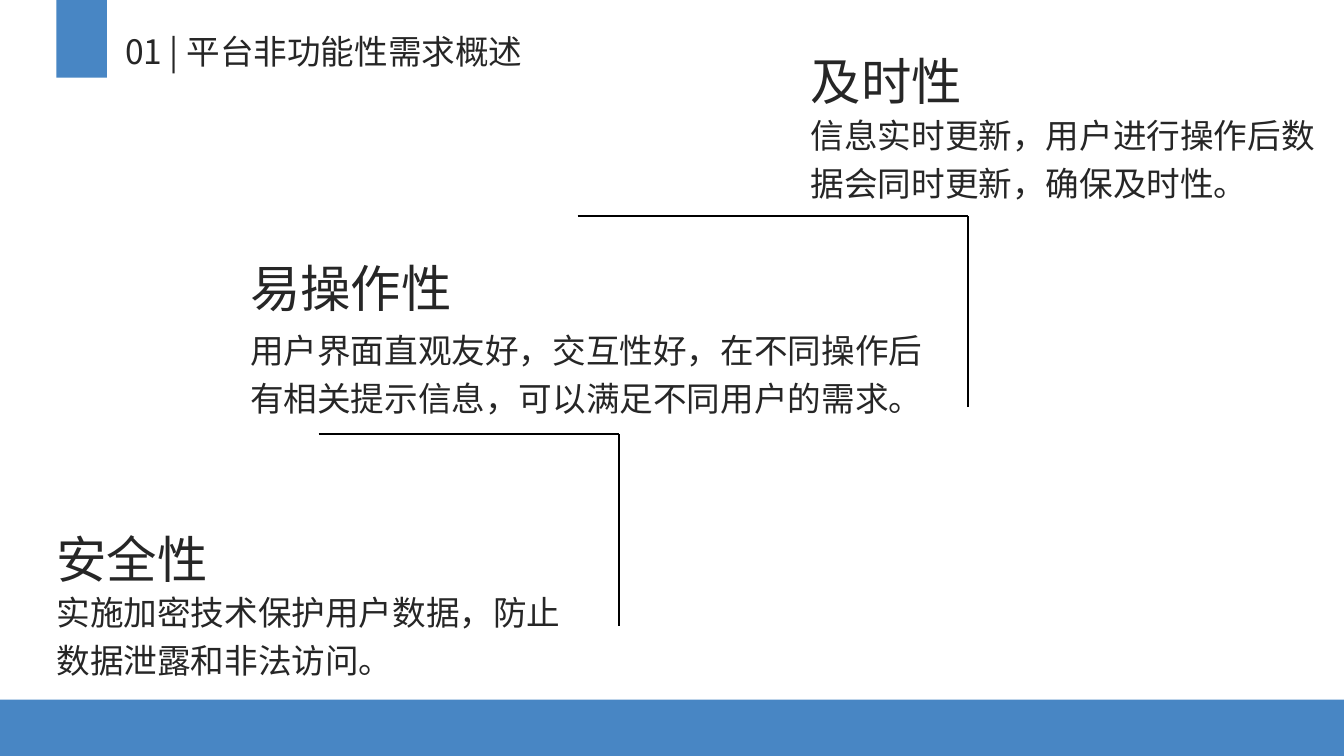
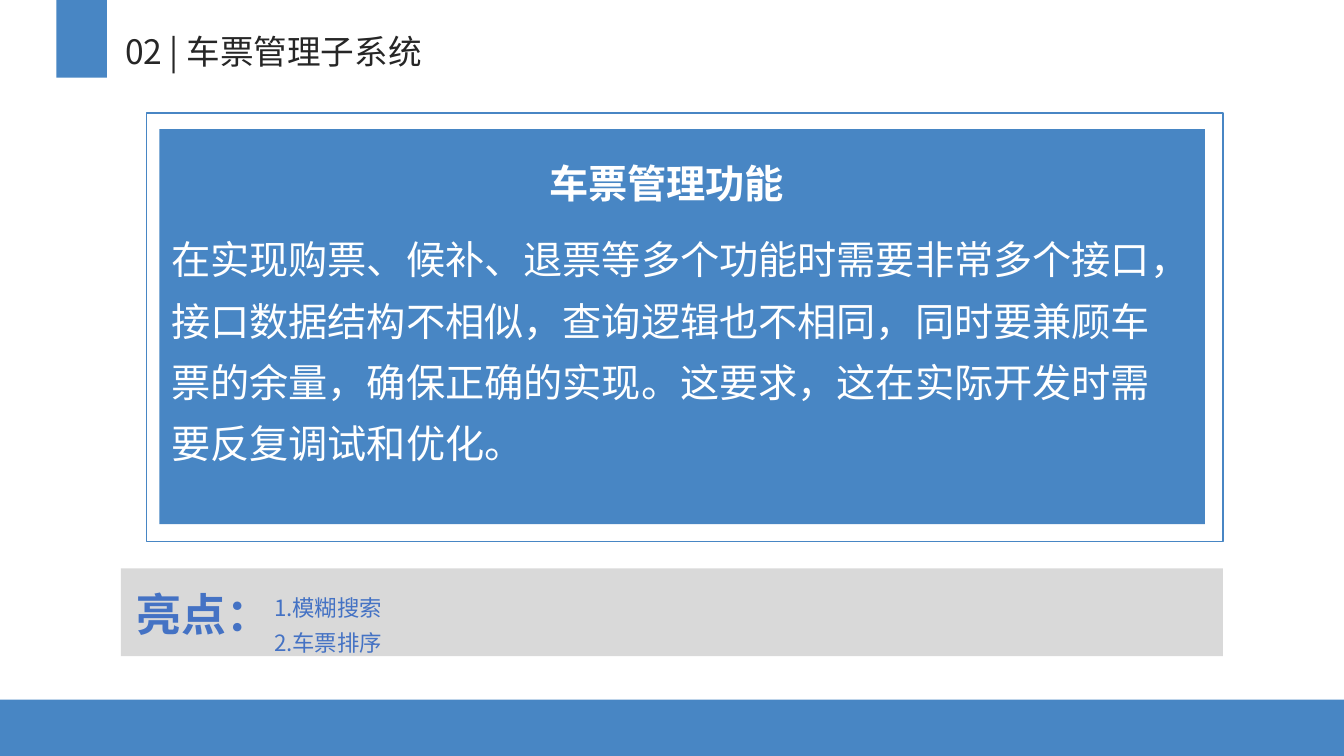
import lxml.etree
import pptx
import pptx.dml.color
import pptx.enum.shapes
import pptx.enum.text
import pptx.oxml.ns
import pptx.util

Inches = pptx.util.Inches
Rgb = pptx.dml.color.RGBColor.from_string
Align = pptx.enum.text.PP_ALIGN
qn = pptx.oxml.ns.qn


class Theme:
    font = "Noto Sans CJK SC"
    blue, gray, ink = Rgb("4886C4"), Rgb("D9D9D9"), Rgb("262626")
    white, black, accent = Rgb("FFFFFF"), Rgb("000000"), Rgb("4472C4")
    small, body, large, label, head = 16, 24, 28, 32, 36


def write(shape, text, size=Theme.body, color=Theme.ink, bold=False,
          align=Align.LEFT, line=None, before=None, pad=True):
    """Fill a shape with text, one paragraph per line; before is in percent."""
    frame = shape.text_frame
    frame.text = text
    frame.word_wrap = True
    frame.auto_size = pptx.enum.text.MSO_AUTO_SIZE.SHAPE_TO_FIT_TEXT
    frame.vertical_anchor = pptx.enum.text.MSO_ANCHOR.TOP
    if not pad:
        frame.margin_left = frame.margin_right = 0
        frame.margin_top = frame.margin_bottom = 0
    for para in frame.paragraphs:
        para.alignment = align
        para.line_spacing = line
        if before:
            para.space_before = pptx.util.Pt(1)
        for run in para.runs:
            run.font.name = Theme.font
            run.font.size = pptx.util.Pt(size)
            run.font.color.rgb = color
            run.font.bold = bold
    # East Asian font and relative spacing
    for props in shape.element.iter(qn("a:rPr")):
        lxml.etree.SubElement(props, qn("a:ea"), typeface=Theme.font)
    for gap in shape.element.iter(qn("a:spcBef")):
        gap.clear()
        lxml.etree.SubElement(gap, qn("a:spcPct"), val=str(before * 1000))


def block(slide, box, fill=None, edge=None):
    """Add a flat rectangle."""
    kind = pptx.enum.shapes.MSO_SHAPE.RECTANGLE
    shape = slide.shapes.add_shape(kind, *map(Inches, box))
    shape.shadow.inherit = False
    if fill:
        shape.fill.solid()
        shape.fill.fore_color.rgb = fill
    else:
        shape.fill.background()
    if edge:
        shape.line.color.rgb = edge
        shape.line.width = pptx.util.Pt(1)
    else:
        shape.line.fill.background()
    return shape


deck = pptx.Presentation()
deck.slide_width, deck.slide_height = Inches(13.33), Inches(7.5)

# Shared title place
layout = deck.slide_layouts[5]
place = layout.placeholders[0]
place.left, place.top = Inches(1.14), Inches(0.26)
place.width, place.height = Inches(4.45), Inches(0.5)

# Slides with their titles
needs, ticket = [deck.slides.add_slide(layout) for _ in range(2)]
write(needs.shapes.title, "01 | 平台非功能性需求概述")
write(ticket.shapes.title, "02 | 车票管理子系统")

# Shared bands, moved to the layout
for order, box in enumerate([(0, 6.94, 13.33, 0.56), (0.56, 0, 0.5, 0.77)]):
    band = block(needs, box, Theme.blue).element
    band.find(".//" + qn("p:cNvPr")).set("id", str(20 + order))
    layout.shapes.element.insert(2 + order, band)

# Slide 1: three steps, each a heading over its body
steps = [
    ("安全性", "实施加密技术保护用户数据，防止数据泄露和非法访问。",
     0.56, 5.12, 5.79, 5.02),
    ("易操作性", "用户界面直观友好，交互性好，在不同操作后有相关提示信息，"
     "可以满足不同用户的需求。", 2.48, 2.43, 3.19, 6.92),
    ("及时性", "信息实时更新，用户进行操作后数据会同时更新，确保及时性。",
     8.04, 0.38, 1.06, 5.02),
]
for head, body, left, top, below, width in steps:
    rows = [(head, Theme.head, top, 2.42, 0.67),
            (body, Theme.body, below, width, 0.93)]
    for text, size, y, wide, high in rows:
        box = needs.shapes.add_textbox(*map(Inches, (left, y, wide, high)))
        write(box, text, size=size, line=1.2, before=20, pad=False)

# Slide 1: stair lines, a tread and a drop from each corner
drop = 1.9
for start, x, y in [(3.16, 6.14, 4.31), (5.73, 9.6, 2.14)]:
    for ends in [(start, y, x, y), (x, y + drop, x, y)]:
        stair = needs.shapes.add_connector(
            pptx.enum.shapes.MSO_CONNECTOR.STRAIGHT, *map(Inches, ends))
        stair.line.color.rgb = Theme.black
        stair.line.width = pptx.util.Pt(1.5)
        lxml.etree.SubElement(stair.element.spPr, qn("a:effectLst"))

# Slide 2: framed panel and highlight bar
block(ticket, (1.58, 1.28, 10.37, 3.92), Theme.blue)
block(ticket, (1.45, 1.12, 10.68, 4.25), edge=Theme.blue)
block(ticket, (1.2, 5.64, 10.93, 0.87), Theme.gray)

# Slide 2: texts
notes = [
    ("车票管理功能", (1.72, 1.53, 9.78, 0.57),
     dict(size=Theme.large, color=Theme.white, bold=True, align=Align.CENTER)),
    ("在实现购票、候补、退票等多个功能时需要非常多个接口，接口数据结构不相似，"
     "查询逻辑也不相同，同时要兼顾车票的余量，确保正确的实现。这要求，"
     "这在实际开发时需要反复调试和优化。", (1.6, 2.15, 10.03, 2.49),
     dict(size=Theme.large, color=Theme.white, line=1.3)),
    ("亮点：", (1.2, 5.77, 1.65, 0.64),
     dict(size=Theme.label, color=Theme.accent, bold=True, align=Align.CENTER)),
    ("1.模糊搜索\n2.车票排序", (2.62, 5.77, 9.33, 0.77),
     dict(size=Theme.small, color=Theme.accent, line=1.3)),
]
for text, box, style in notes:
    write(ticket.shapes.add_textbox(*map(Inches, box)), text, **style)

deck.save("out.pptx")
